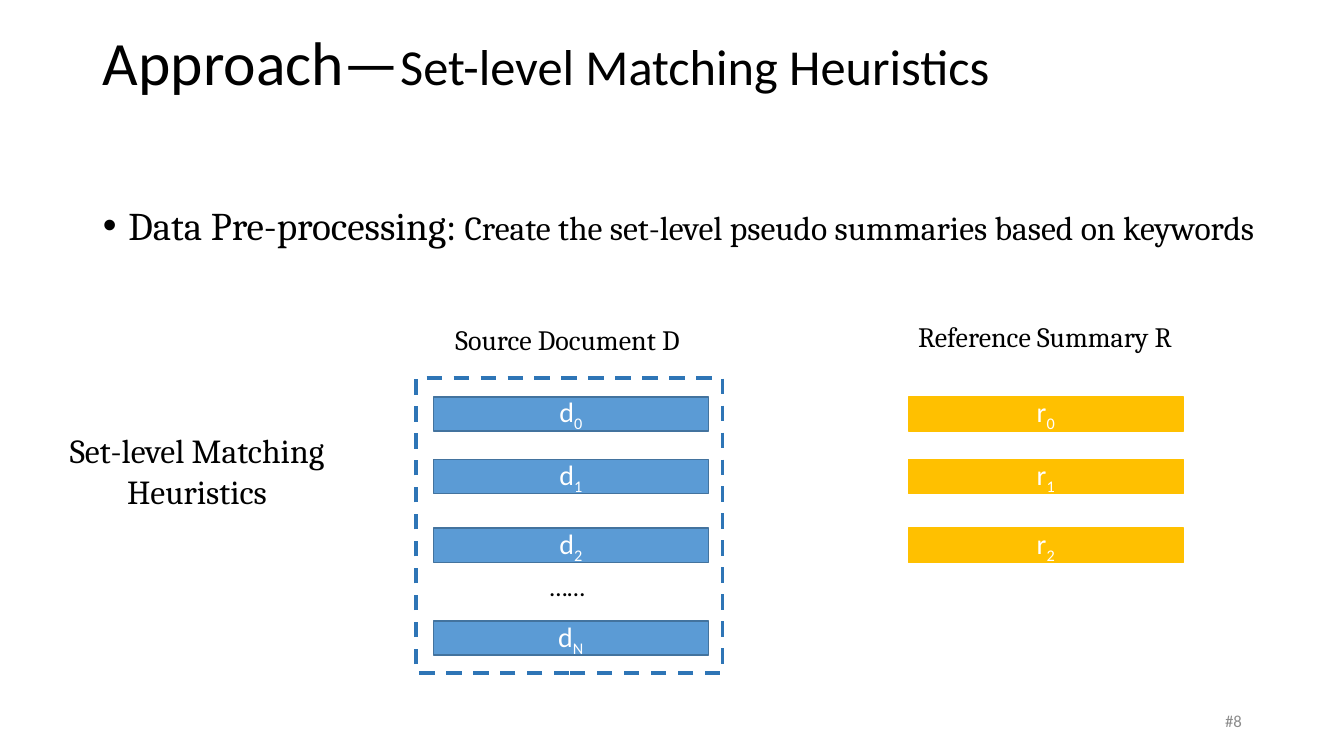
from lxml.etree import SubElement
from pptx import Presentation
from pptx.dml.color import RGBColor
from pptx.enum.dml import MSO_LINE
from pptx.enum.shapes import MSO_SHAPE
from pptx.enum.text import MSO_ANCHOR, MSO_AUTO_SIZE, PP_ALIGN
from pptx.oxml.ns import qn
from pptx.util import Cm, Pt


def color(hex_string):
    return RGBColor.from_string(hex_string)


def write(box, spans, align=PP_ALIGN.LEFT, anchor=MSO_ANCHOR.TOP, wrap=True):
    """Fill the first paragraph of a box with (text, font format) spans."""
    frame = box.text_frame
    settings = {"word_wrap": wrap, "auto_size": MSO_AUTO_SIZE.NONE, "vertical_anchor": anchor}
    for name, value in settings.items():
        setattr(frame, name, value)
    para = frame.paragraphs[0]
    para.alignment = align
    for text, font_format in spans:
        span = para.add_run()
        span.text = text
        for name, value in font_format.items():
            if name == "color":
                span.font.color.rgb = color(value)
            else:
                setattr(span.font, name, value)
    return para


deck = Presentation()
deck.slide_width, deck.slide_height = Cm(33.87), Cm(19.05)
page = deck.slides.add_slide(deck.slide_layouts[1])

sans = {"name": "Calibri", "color": "000000"}
serif = {"name": "Cambria", "color": "000000"}

# Title and bullet
title, body = page.placeholders
for box, place in ((title, (2.34, -0.2, 29.21, 3.68)), (body, (2.34, 5.08, 30.25, 2.49))):
    box.left, box.top, box.width, box.height = map(Cm, place)

heading = write(title, [
    ("Approach—", {**sans, "size": Pt(44)}),
    ("Set-level Matching Heuristics", {**sans, "size": Pt(36)}),
], anchor=MSO_ANCHOR.MIDDLE)
heading.line_spacing = 0.9

bullet = write(body, [
    ("Data Pre-processing: ", {**serif, "size": Pt(28)}),
    ("Create the set-level pseudo summaries based on keywords", {**serif, "size": Pt(24)}),
])
bullet.line_spacing = 0.9
bullet.space_before = Pt(0)
properties = bullet._p.get_or_add_pPr()
properties.set("marL", str(Cm(0.64)))
properties.set("indent", str(Cm(-0.64)))
SubElement(properties, qn("a:buFont"), typeface="Arial")
SubElement(properties, qn("a:buChar"), char="•")

# Labels and slide number
labels = [
    ("Set-level Matching Heuristics", (0.89, 10.72, 8.15, 2.31), {**serif, "size": Pt(24)},
     PP_ALIGN.CENTER, MSO_ANCHOR.TOP, True),
    ("Source Document D", (11.23, 8, 6.48, 1.12), {**serif, "size": Pt(20)},
     PP_ALIGN.LEFT, MSO_ANCHOR.TOP, True),
    ("Reference Summary R", (22.89, 7.92, 6.99, 1.12), {**serif, "size": Pt(20)},
     PP_ALIGN.LEFT, MSO_ANCHOR.TOP, True),
    ("……", (13.61, 14.27, 1.55, 1.68), {**sans, "size": Pt(18)},
     PP_ALIGN.LEFT, MSO_ANCHOR.TOP, False),
    ("#8", (23.93, 17.65, 7.62, 1.02), {**sans, "size": Pt(12), "color": "8C8C8C"},
     PP_ALIGN.RIGHT, MSO_ANCHOR.MIDDLE, True),
]
for text, place, font_format, align, anchor, wrap in labels:
    box = page.shapes.add_textbox(*map(Cm, place))
    write(box, [(text, font_format)], align, anchor, wrap)

# Sentence bars of the document and the summary
bar_tops = [10, 11.58, 13.31, 15.65]
bar_font = {"name": "Calibri", "size": Pt(20), "color": "FFFFFF"}
columns = [
    ("d", "012N", 10.92, "5B9BD5", "43739E"),
    ("r", "012", 22.89, "FFC000", "FFC000"),
]
for letter, indexes, left, fill, outline in columns:
    for index, top in zip(indexes, bar_tops):
        bar = page.shapes.add_shape(MSO_SHAPE.RECTANGLE, Cm(left), Cm(top), Cm(6.93), Cm(0.86))
        bar.shadow.inherit = False
        bar.fill.solid()
        bar.fill.fore_color.rgb = color(fill)
        bar.line.color.rgb = color(outline)
        bar.line.width = Pt(1)
        para = write(bar, [(letter, bar_font), (index, bar_font)],
                     PP_ALIGN.CENTER, MSO_ANCHOR.MIDDLE)
        para.runs[1].font._element.set("baseline", "-25000")

# Dashed frame around the document
frame = page.shapes.add_shape(MSO_SHAPE.RECTANGLE, Cm(10.49), Cm(9.53), Cm(7.72), Cm(7.42))
frame.shadow.inherit = False
frame.fill.background()
frame.line.color.rgb = color("2E75B6")
frame.line.width = Pt(2.75)
frame.line.dash_style = MSO_LINE.DASH

deck.save("out.pptx")
